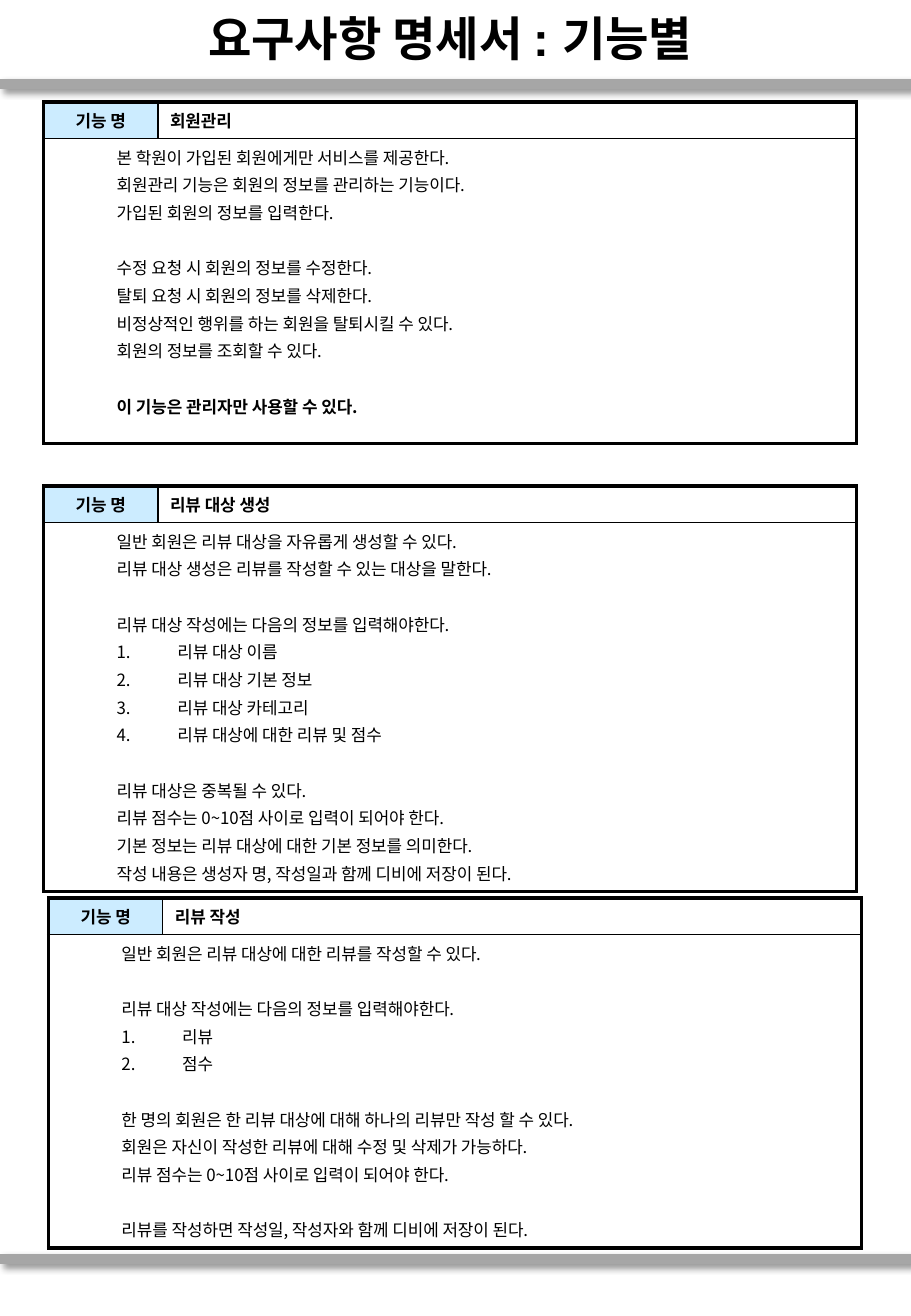
"""Build a one-page requirements sheet with one table per function."""
from lxml import etree
from pptx import Presentation
from pptx.dml.color import RGBColor
from pptx.enum.shapes import MSO_CONNECTOR
from pptx.enum.text import MSO_ANCHOR, MSO_AUTO_SIZE, PP_ALIGN
from pptx.oxml import parse_xml
from pptx.oxml.ns import nsdecls, qn
from pptx.util import Inches, Pt

CENTER, LEFT = PP_ALIGN.CENTER, PP_ALIGN.LEFT
MIDDLE, NO_FIT = MSO_ANCHOR.MIDDLE, MSO_AUTO_SIZE.NONE
STRAIGHT = MSO_CONNECTOR.STRAIGHT
THEME = {
    "ink": "000000", "rule": "A6A6A6", "label": "CCECFF",
    "title_font": "Arial", "font": "Noto Sans CJK KR",
    "title": 28, "body": 10, "spacing": 2, "gap": 18.4,
    "thick": 2.25, "thin": 1, "bar": 6,
}
WIDTH, HEIGHT = Inches(7.5), Inches(10.83)
COLS = (Inches(0.94), Inches(5.75))
HEADER = Inches(0.3)
INDENT = Inches(0.5)

# Each block holds its style, whether a gap precedes it, and its lines.
FUNCTIONS = [
    ("회원관리", 0.36, 0.84, 2.51, [
        ("plain", False, ["본 학원이 가입된 회원에게만 서비스를 제공한다.",
                          "회원관리 기능은 회원의 정보를 관리하는 기능이다.",
                          "가입된 회원의 정보를 입력한다."]),
        ("plain", True, ["수정 요청 시 회원의 정보를 수정한다.",
                         "탈퇴 요청 시 회원의 정보를 삭제한다.",
                         "비정상적인 행위를 하는 회원을 탈퇴시킬 수 있다.",
                         "회원의 정보를 조회할 수 있다."]),
        ("bold", True, ["이 기능은 관리자만 사용할 수 있다."]),
    ]),
    ("리뷰 대상 생성", 0.36, 4, 3.03, [
        ("plain", False, ["일반 회원은 리뷰 대상을 자유롭게 생성할 수 있다.",
                          "리뷰 대상 생성은 리뷰를 작성할 수 있는 대상을 말한다."]),
        ("plain", True, ["리뷰 대상 작성에는 다음의 정보를 입력해야한다."]),
        ("number", False, ["리뷰 대상 이름", "리뷰 대상 기본 정보",
                           "리뷰 대상 카테고리", "리뷰 대상에 대한 리뷰 및 점수"]),
        ("plain", True, ["리뷰 대상은 중복될 수 있다.",
                         "리뷰 점수는 0~10점 사이로 입력이 되어야 한다.",
                         "기본 정보는 리뷰 대상에 대한 기본 정보를 의미한다.",
                         "작성 내용은 생성자 명, 작성일과 함께 디비에 저장이 된다."]),
    ]),
    ("리뷰 작성", 0.4, 7.39, 2.58, [
        ("plain", False, ["일반 회원은 리뷰 대상에 대한 리뷰를 작성할 수 있다."]),
        ("plain", True, ["리뷰 대상 작성에는 다음의 정보를 입력해야한다."]),
        ("number", False, ["리뷰", "점수"]),
        ("plain", True, ["한 명의 회원은 한 리뷰 대상에 대해 하나의 리뷰만 작성 할 수 있다.",
                         "회원은 자신이 작성한 리뷰에 대해 수정 및 삭제가 가능하다.",
                         "리뷰 점수는 0~10점 사이로 입력이 되어야 한다."]),
        ("plain", True, ["리뷰를 작성하면 작성일, 작성자와 함께 디비에 저장이 된다."]),
    ]),
]


def write(p, text, size=THEME["body"], font=THEME["font"], bold=False,
          align=LEFT, before=0, indent=0, numbered=False):
    """Fill a paragraph with one formatted run."""
    p.alignment, p.space_before = align, Pt(before)
    pPr = p._p.get_or_add_pPr()
    pPr.set("marL", str(indent * (2 if numbered else 1)))
    pPr.set("indent", str(-indent if numbered else 0))
    if numbered:
        etree.SubElement(pPr, qn("a:buFont"), typeface=font)
        etree.SubElement(pPr, qn("a:buAutoNum"), type="arabicPeriod")
    r = p.add_run()
    r.text = text
    r.font.size, r.font.bold, r.font.name = Pt(size), bold, font
    r.font.color.rgb = RGBColor.from_string(THEME["ink"])
    etree.SubElement(r._r.get_or_add_rPr(), qn("a:ea"), typeface=THEME["font"])


def frame(cell, **widths):
    """Draw the four cell borders with the given widths."""
    tcPr = cell._tc.get_or_add_tcPr()
    for side in "LRTB":
        width = Pt(THEME[widths.get(side, "thin")])
        tcPr.append(parse_xml(
            f'<a:ln{side} {nsdecls("a")} w="{width}"><a:solidFill>'
            f'<a:srgbClr val="{THEME["ink"]}"/></a:solidFill></a:ln{side}>'))
    cell.fill.background()


prs = Presentation()
prs.slide_width, prs.slide_height = WIDTH, HEIGHT
s = prs.slides.add_slide(prs.slide_layouts[5])

for y in (0.69, 10.36):
    bar = s.shapes.add_connector(STRAIGHT, 0, Inches(y), WIDTH, Inches(y))
    bar.line.color.rgb = RGBColor.from_string(THEME["rule"])
    bar.line.width = Pt(THEME["bar"])
    bar._element.spPr.append(parse_xml(
        f'<a:effectLst {nsdecls("a")}><a:outerShdw blurRad="{Pt(4)}" dist="{Pt(3)}" '
        f'dir="2700000" rotWithShape="0"><a:srgbClr val="{THEME["ink"]}">'
        '<a:alpha val="40000"/></a:srgbClr></a:outerShdw></a:effectLst>'))

title = s.shapes.title
title.left, title.top, title.width, title.height = 0, Inches(0.01), WIDTH, Inches(0.6)
tf = title.text_frame
tf.word_wrap, tf.auto_size, tf.vertical_anchor = True, NO_FIT, MIDDLE
write(tf.paragraphs[0], "요구사항 명세서 : 기능별 ", size=THEME["title"],
      font=THEME["title_font"], bold=True, align=CENTER)

for name, left, top, depth, blocks in FUNCTIONS:
    table = s.shapes.add_table(2, 2, Inches(left), Inches(top), sum(COLS),
                               HEADER + Inches(depth)).table
    table.first_row = table.horz_banding = False
    for column, width in zip(table.columns, COLS):
        column.width = width
    for row, height in zip(table.rows, (HEADER, Inches(depth))):
        row.height = height

    label, heading = table.cell(0, 0), table.cell(0, 1)
    body, spanned = table.cell(1, 0), table.cell(1, 1)
    body.merge(spanned)
    frame(label, L="thick", T="thick")
    frame(heading, R="thick", T="thick")
    for cell in (body, spanned):
        frame(cell, L="thick", R="thick", B="thick")
    label.fill.solid()
    label.fill.fore_color.rgb = RGBColor.from_string(THEME["label"])
    write(label.text_frame.paragraphs[0], "기능 명", bold=True, align=CENTER)
    write(heading.text_frame.paragraphs[0], name, bold=True)

    tf = body.text_frame
    lines = [(style, gap and i == 0, text)
             for style, gap, texts in blocks for i, text in enumerate(texts)]
    for i, (style, gap, text) in enumerate(lines):
        p = tf.add_paragraph() if i else tf.paragraphs[0]
        before = THEME["gap"] if gap else THEME["spacing"] if i else 0
        write(p, text, bold=style == "bold", before=before, indent=INDENT,
              numbered=style == "number")

prs.save("out.pptx")
